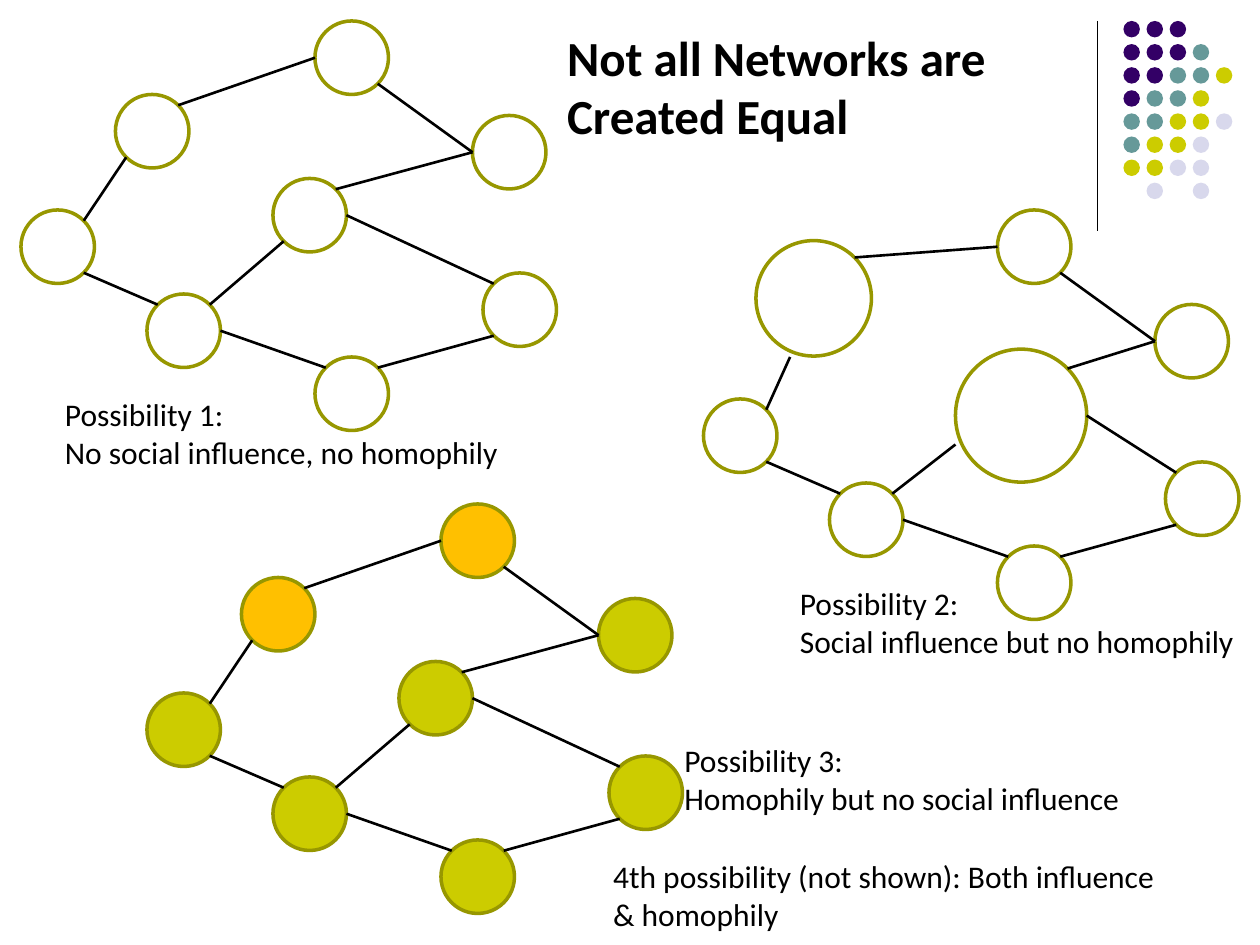
import pptx
import pptx.util
import pptx.dml.color
import pptx.enum.shapes
import pptx.enum.text
import pptx.oxml

Pt = pptx.util.Pt
OVAL = pptx.enum.shapes.MSO_SHAPE.OVAL
STRAIGHT = pptx.enum.shapes.MSO_CONNECTOR.STRAIGHT


def rgb(value):
    return pptx.dml.color.RGBColor.from_string(value)


def add_line(start, end, width):
    c = s.shapes.add_connector(STRAIGHT, *[Pt(v) for v in (*start, *end)])
    c.line.color.rgb = rgb("000000")
    c.line.width = Pt(width)
    c._element.spPr.append(pptx.oxml.parse_xml(
        '<a:effectLst xmlns:a="http://schemas.openxmlformats.org/drawingml/2006/main"/>'))


prs = pptx.Presentation()
prs.slide_width, prs.slide_height = Pt(720), Pt(540)
s = prs.slides.add_slide(prs.slide_layouts[6])

# Corner decoration: rule and dot grid
add_line((627, 12), (627, 132), 0.75)
dot_colors = {"P": "330066", "T": "669999", "Y": "CCCC00", "L": "D8D8EC"}
dot_rows = ["PPP", "PPPT", "PPTTY", "PTTY", "TTYYL", "TYYL", "YYLL", " L L"]
for row, codes in enumerate(dot_rows):
    for col, code in enumerate(codes):
        if code == " ":
            continue
        sp = s.shapes.add_shape(OVAL, Pt(642 + 13.2 * col), Pt(12 + 13.2 * row),
                                Pt(9.4), Pt(9.4))
        sp.shadow.inherit = False
        sp.fill.solid()
        sp.fill.fore_color.rgb = rgb(dot_colors[code])
        sp.line.fill.background()

# Shared network layout: node corners and edges between points on the circles
nodes = {"upper": (66, 54), "top": (180, 12), "lower": (84, 168), "left": (12, 120),
         "middle": (156, 102), "right": (270, 66), "bottom": (180, 204),
         "corner": (276, 156)}
edges = [("left", "TR", "upper", "BL"), ("upper", "TR", "top", "L"),
         ("left", "BR", "lower", "TL"), ("lower", "R", "bottom", "TL"),
         ("top", "BR", "right", "L"), ("lower", "TR", "middle", "BL"),
         ("middle", "TR", "right", "L"), ("bottom", "TR", "corner", "BL"),
         ("middle", "R", "corner", "TL")]
near, far = 0.146, 0.854
sites = {"L": (0, 0.5), "R": (1, 0.5), "TL": (near, near), "TR": (far, near),
         "BL": (near, far), "BR": (far, far)}

# Each network: offset, fill, fills by node, resized nodes, moved line ends
networks = [
    ((0, 0), None, {}, {}, {}),
    ((390, 108), None, {},
     {"upper": (432, 137.5, 66, 66), "middle": (546, 199.5, 75, 76)},
     {("upper", "BL"): (451.5, 204), ("middle", "BL"): (546, 254)}),
    ((72, 276), "CCCC00", {"upper": "FFC000", "top": "FFC000"}, {}, {}),
]
for (dx, dy), base_fill, fills, resized, moved in networks:
    ends = dict(moved)
    for name, (x, y) in nodes.items():
        x, y, w, h = resized.get(name, (x + dx, y + dy, 42, 42))
        sp = s.shapes.add_shape(OVAL, Pt(x), Pt(y), Pt(w), Pt(h))
        sp.shadow.inherit = False
        fill = fills.get(name, base_fill)
        if fill:
            sp.fill.solid()
            sp.fill.fore_color.rgb = rgb(fill)
        else:
            sp.fill.background()
        sp.line.color.rgb = rgb("979700")
        sp.line.width = Pt(2)
        for site, (fx, fy) in sites.items():
            ends.setdefault((name, site), (x + fx * w, y + fy * h))
    for a, a_site, b, b_site in edges:
        add_line(ends[a, a_site], ends[b, b_site], 1.5)

# Title and captions
texts = [
    (317, 12, 263.5, 75, 28, ["Not all Networks are", "Created Equal"]),
    (450, 330, 265.5, 51, 18, ["Possibility 2:", "Social influence but no homophily"]),
    (384, 420, 266.5, 51, 18, ["Possibility 3:", "Homophily but no social influence"]),
    (343.3, 486, 332, 51, 18,
     ["4th possibility (not shown): Both influence", "& homophily"]),
    (30, 222, 265, 51, 18, ["Possibility 1:", "No social influence, no homophily"]),
]
for x, y, w, h, size, lines in texts:
    tf = s.shapes.add_textbox(Pt(x), Pt(y), Pt(w), Pt(h)).text_frame
    tf.word_wrap = False
    tf.auto_size = pptx.enum.text.MSO_AUTO_SIZE.SHAPE_TO_FIT_TEXT
    tf.text = "\n".join(lines)
    for p in tf.paragraphs:
        p.font.name = "Calibri"
        p.font.size = Pt(size)
        p.font.bold = size == 28
        p.font.color.rgb = rgb("000000")

prs.save("out.pptx")
